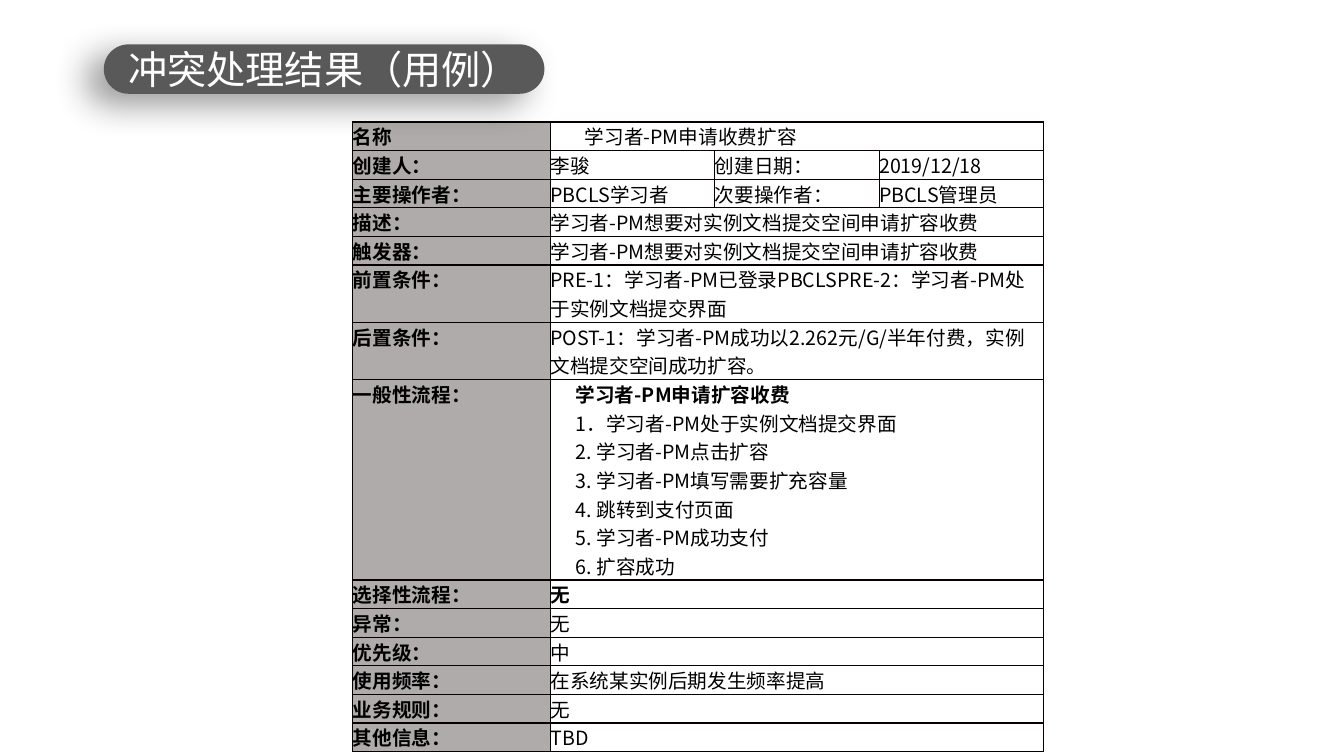
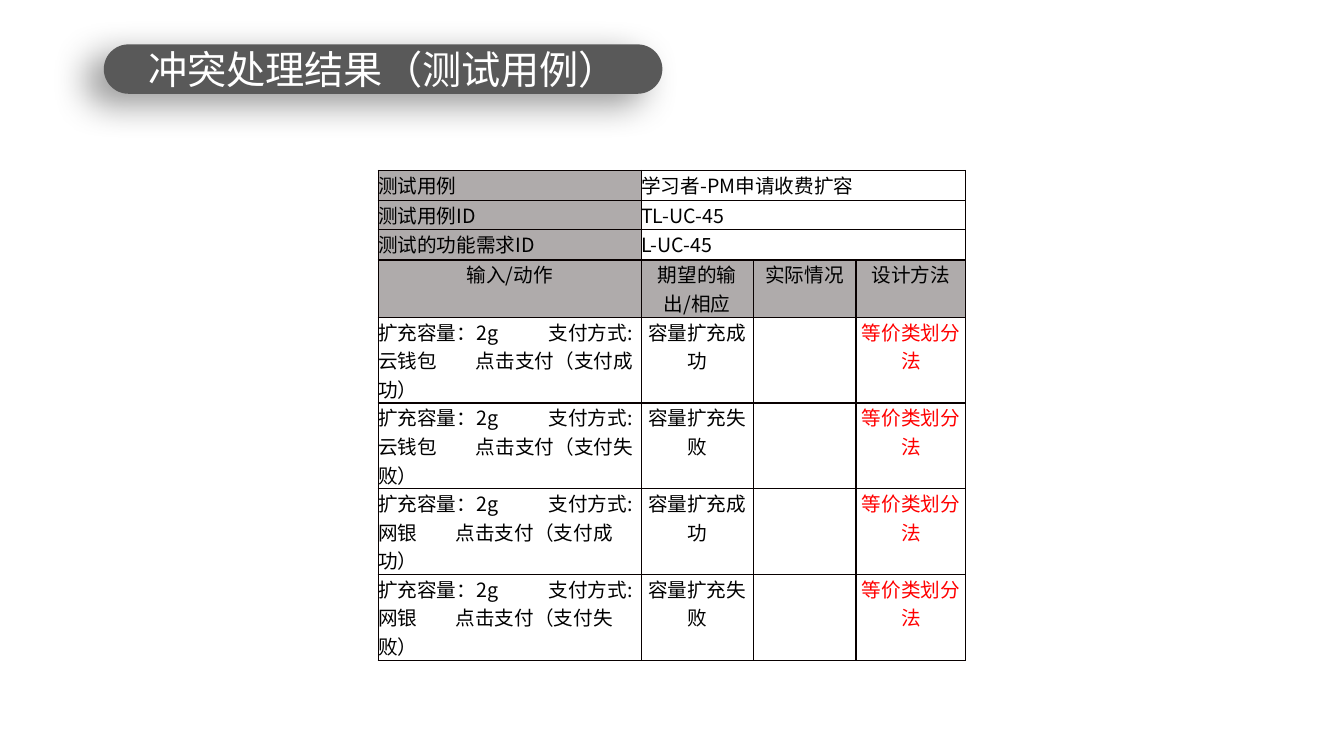
"""Build two slides that show a use case and its test cases as tables."""
from dataclasses import dataclass

import pptx
import pptx.dml.color
import pptx.enum.shapes
import pptx.enum.text
import pptx.oxml
import pptx.oxml.ns
import pptx.util
from lxml import etree

Inches = pptx.util.Inches
Pt = pptx.util.Pt
RGB = pptx.dml.color.RGBColor.from_string
qn = pptx.oxml.ns.qn
CENTER = pptx.enum.text.PP_ALIGN.CENTER
LEFT = pptx.enum.text.PP_ALIGN.LEFT


@dataclass(frozen=True)
class Theme:
    ink: str = "000000"
    accent: str = "FF0000"
    label: str = "AFABAB"
    border: str = "080000"
    pill: str = "595959"
    title_ink: str = "FFFFFF"
    title_font: str = "Calibri"
    body_font: str = "Noto Sans CJK SC"
    title_size: int = 28
    body_size: int = 14
    border_width: int = 1


THEME = Theme()


@dataclass(frozen=True)
class Cell:
    lines: tuple[str, ...] = ()
    span: int = 1
    fill: str = ""
    color: str = THEME.ink
    align: int = LEFT
    bold: tuple[bool, ...] = ()
    inset: float = 0
    tabs: tuple[float, ...] = ()


@dataclass(frozen=True)
class Grid:
    left: float
    top: float
    cols: tuple[float, ...]
    heights: tuple[float, ...]
    rows: list[list[Cell]]


def label(text: str, bold: bool = False, align: int = LEFT) -> Cell:
    return Cell((text,), fill=THEME.label, bold=(bold,), align=align)


def wide(*lines: str, bold: tuple[bool, ...] = (), inset: float = 0) -> Cell:
    return Cell(lines, span=3, bold=bold, inset=inset)


def field(name: str, *lines: str, bold: tuple[bool, ...] = (), inset: float = 0) -> list[Cell]:
    return [label(name, True), wide(*lines, bold=bold, inset=inset)]


def pair(name: str, value: str, name2: str, value2: str) -> list[Cell]:
    return [label(name, True), *(Cell((t,)) for t in (value, name2, value2))]


def case(method: str, tab: float, result: str) -> list[Cell]:
    action = f"扩充容量：2g\t支付方式: {method}\t点击支付（支付{result}）"
    return [
        Cell((action,), tabs=(tab, 1.69)),
        Cell((f"容量扩充{result}",), align=CENTER),
        Cell(),
        Cell(("等价类划分法",), color=THEME.accent, align=CENTER),
    ]


def set_all(target, values: dict) -> None:
    for name, value in values.items():
        setattr(target, name, value)


def add_run(p, text: str, size: int, font: str, color: str, bold: bool = False) -> None:
    r = p.add_run()
    r.text = text
    set_all(r.font, {"size": Pt(size), "name": font, "bold": bold})
    r.font.color.rgb = RGB(color)
    etree.SubElement(r.font._element, qn("a:ea"), typeface=THEME.body_font)


def add_borders(cell) -> None:
    tc_pr = cell._tc.get_or_add_tcPr()
    for side in ("lnL", "lnR", "lnT", "lnB"):
        ln = etree.SubElement(tc_pr, qn(f"a:{side}"), w=str(Pt(THEME.border_width)))
        fill = etree.SubElement(ln, qn("a:solidFill"))
        etree.SubElement(fill, qn("a:srgbClr"), val=THEME.border)


def add_tabs(p, stops: tuple[float, ...]) -> None:
    tab_list = etree.SubElement(p._p.get_or_add_pPr(), qn("a:tabLst"))
    for stop in stops:
        etree.SubElement(tab_list, qn("a:tab"), pos=str(Inches(stop)), algn="l")


def write_cell(target, cell: Cell) -> None:
    if cell.fill:
        target.fill.solid()
        target.fill.fore_color.rgb = RGB(cell.fill)
    tf = target.text_frame
    for i, line in enumerate(cell.lines):
        p = tf.add_paragraph() if i else tf.paragraphs[0]
        p.alignment = cell.align
        if cell.tabs:
            add_tabs(p, cell.tabs)
        bold = i < len(cell.bold) and cell.bold[i]
        add_run(p, line, THEME.body_size, THEME.body_font, cell.color, bold)


def add_grid(s, grid: Grid) -> None:
    frame = s.shapes.add_table(
        len(grid.rows), len(grid.cols), Inches(grid.left), Inches(grid.top),
        Inches(sum(grid.cols)), Inches(sum(grid.heights)))
    table = frame.table
    set_all(table, {"first_row": False, "horz_banding": False})
    for col, width in zip(table.columns, grid.cols):
        col.width = Inches(width)
    for row, height in zip(table.rows, grid.heights):
        row.height = Inches(height)
    for target in table.iter_cells():
        set_all(target, {f"margin_{side}": 0 for side in ("left", "top", "right", "bottom")})
        add_borders(target)
        target.fill.background()
    for y, cells in enumerate(grid.rows):
        x = 0
        for cell in cells:
            target = table.cell(y, x)
            if cell.span > 1:
                target.merge(table.cell(y, x + cell.span - 1))
            target.margin_left = Inches(cell.inset)
            write_cell(target, cell)
            x += cell.span


def add_title(s, text: str, width: float) -> None:
    sp = s.shapes.add_shape(
        pptx.enum.shapes.MSO_SHAPE.ROUNDED_RECTANGLE,
        Inches(1.03), Inches(0.44), Inches(width), Inches(0.49))
    sp.adjustments[0] = 0.5
    sp.fill.solid()
    sp.fill.fore_color.rgb = RGB(THEME.pill)
    sp.line.fill.background()
    sp.shadow.inherit = False
    effects = sp._element.spPr.find(qn("a:effectLst"))
    shadow = etree.SubElement(
        effects, qn("a:outerShdw"), blurRad=str(Pt(25)), dist=str(Pt(15)),
        dir=str(150 * 60000), algn="tr", rotWithShape="0")
    color = etree.SubElement(shadow, qn("a:srgbClr"), val=THEME.ink)
    etree.SubElement(color, qn("a:alpha"), val="40000")
    tf = sp.text_frame
    set_all(tf, {"word_wrap": True, "vertical_anchor": pptx.enum.text.MSO_ANCHOR.MIDDLE})
    p = tf.paragraphs[0]
    p.alignment = CENTER
    add_run(p, text, THEME.title_size, THEME.title_font, THEME.title_ink)


def add_slide(prs, title: str, title_width: float, grid: Grid) -> None:
    s = prs.slides.add_slide(prs.slide_layouts[6])
    add_grid(s, grid)
    add_title(s, title, title_width)


REQUEST = "学习者-PM想要对实例文档提交空间申请扩容收费"

USE_CASE = Grid(
    3.5, 1.21, (1.96, 1.63, 1.63, 1.63),
    (0.28,) * 5 + (0.57, 0.57, 0.85) + (0.28,) * 6,
    [
        field("名称", "学习者-PM申请收费扩容", inset=0.34),
        pair("创建人：", "李骏", "创建日期：", "2019/12/18"),
        pair("主要操作者：", "PBCLS学习者", "次要操作者：", "PBCLS管理员"),
        field("描述：", REQUEST),
        field("触发器：", REQUEST),
        field("前置条件：", "PRE-1：学习者-PM已登录PBCLSPRE-2：学习者-PM处于实例文档提交界面"),
        field("后置条件：", "POST-1：学习者-PM成功以2.262元/G/半年付费，实例文档提交空间成功扩容。"),
        field(
            "一般性流程：",
            "学习者-PM申请扩容收费",
            "1．学习者-PM处于实例文档提交界面",
            "2. 学习者-PM点击扩容",
            "3. 学习者-PM填写需要扩充容量",
            "4. 跳转到支付页面",
            "5. 学习者-PM成功支付",
            "6. 扩容成功",
            bold=(True,), inset=0.25),
        field("选择性流程：", "无", bold=(True,)),
        field("异常：", "无"),
        field("优先级：", "中"),
        field("使用频率：", "在系统某实例后期发生频率提高"),
        field("业务规则：", "无"),
        field("其他信息：", "TBD"),
    ])

TEST_CASES = Grid(
    3.75, 1.69, (2.61, 1.11, 1.02, 1.09),
    (0.3, 0.29, 0.3, 0.29) + (0.59,) * 4,
    [
        [label("测试用例"), wide("学习者-PM申请收费扩容")],
        [label("测试用例ID"), wide("TL-UC-45")],
        [label("测试的功能需求ID"), wide("L-UC-45")],
        [label(t, align=CENTER) for t in ("输入/动作", "期望的输出/相应", "实际情况", "设计方法")],
        *(case(method, tab, result)
          for method, tab in (("云钱包", 0.97), ("网银", 0.77))
          for result in ("成功", "失败")),
    ])


def main() -> None:
    prs = pptx.Presentation()
    set_all(prs, {"slide_width": Inches(13.33), "slide_height": Inches(7.5)})
    add_slide(prs, "冲突处理结果（用例）", 4.37, USE_CASE)
    add_slide(prs, "冲突处理结果（测试用例）", 5.54, TEST_CASES)
    prs.save("out.pptx")


if __name__ == "__main__":
    main()
